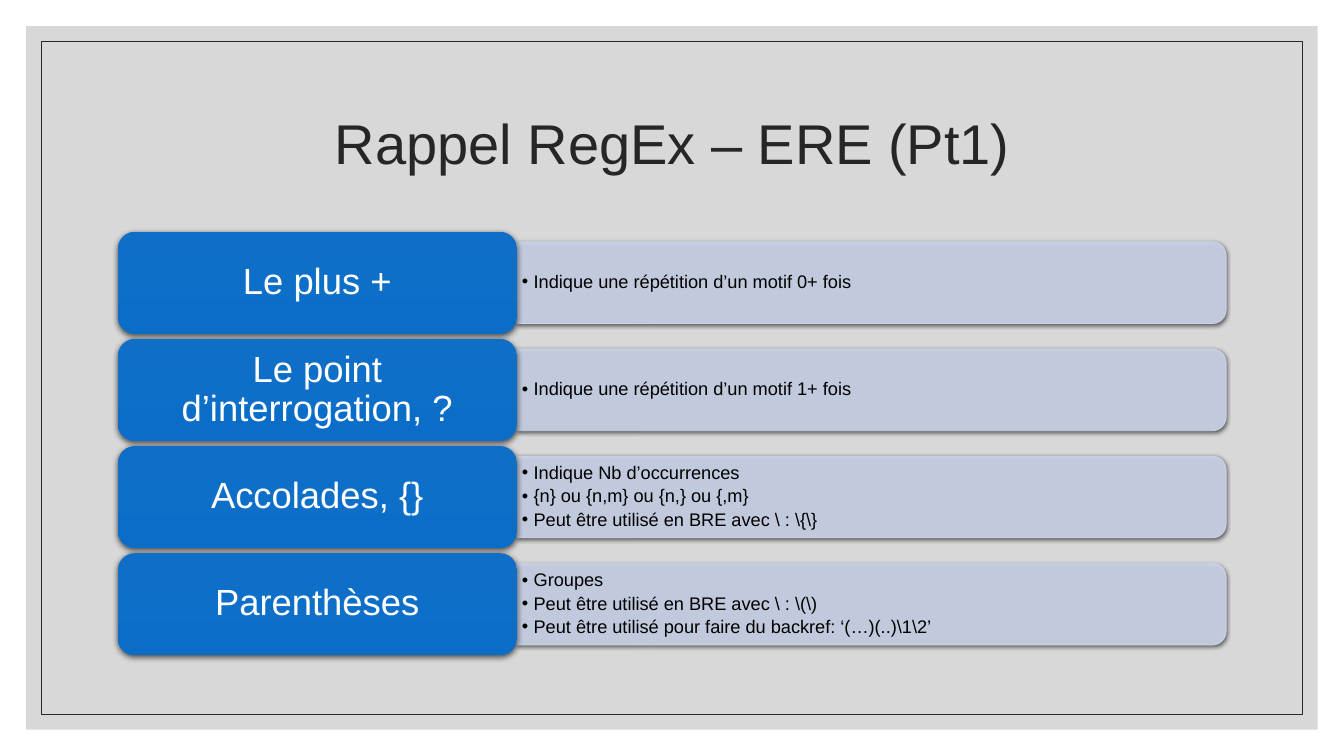
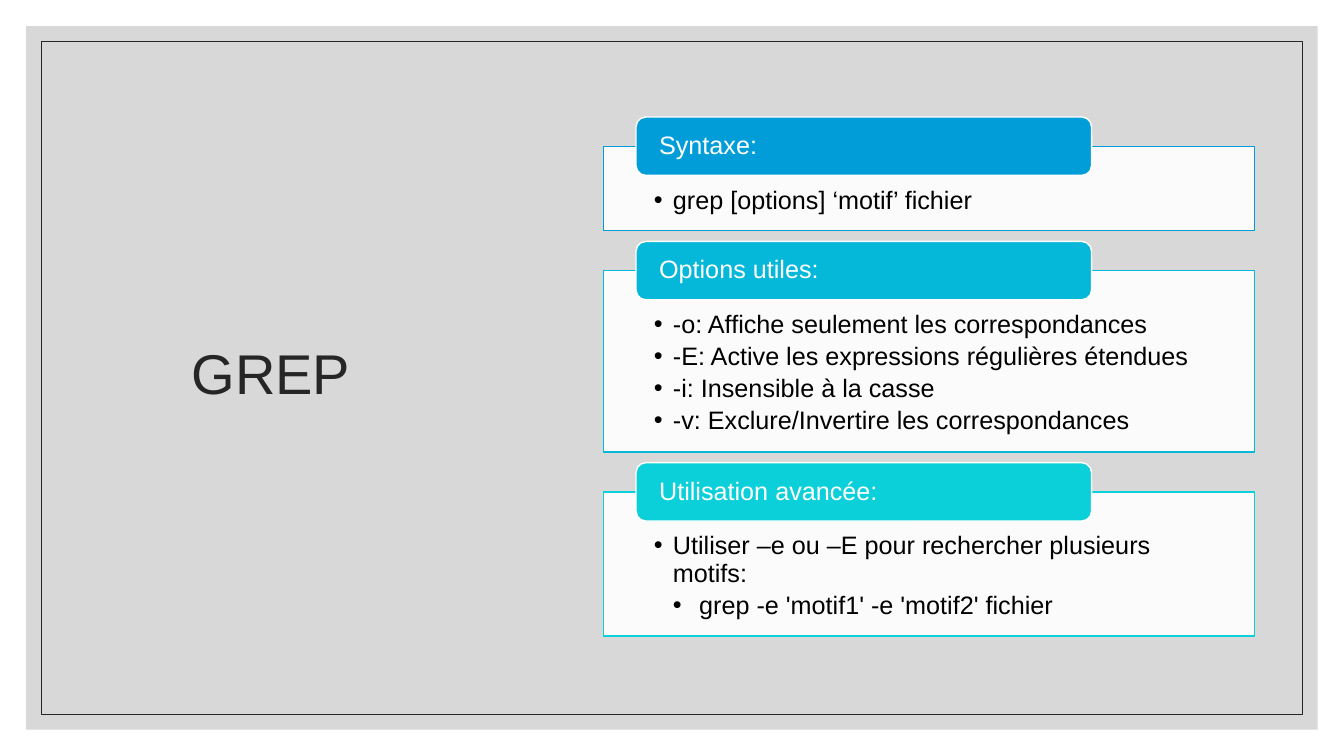
from lxml.etree import SubElement as Sub
from pptx import Presentation
from pptx.dml.color import RGBColor as RGB
from pptx.enum.shapes import MSO_SHAPE as Form
from pptx.enum.text import MSO_ANCHOR as Anchor, PP_ALIGN as Align
from pptx.oxml.ns import qn
from pptx.util import Cm, Pt

WHITE = RGB(0xFF, 0xFF, 0xFF)
BLACK = RGB(0, 0, 0)
INK = RGB(0x26, 0x26, 0x26)
GREY = RGB(0xBF, 0xBF, 0xBF)
PALE = RGB(0xCC, 0xD5, 0xEA)
DEEP = RGB(0x0F, 0x6F, 0xC6)
BRIGHT = RGB(0x0A, 0x6E, 0xC9)
BLUE = RGB(0x00, 0x9D, 0xD9)
CYAN = RGB(0x05, 0xB7, 0xD9)
TEAL = RGB(0x0B, 0xD0, 0xD9)

WIDE, HIGH = 33.87, 19.05

ROWS = [
    ("Le plus +", ["Indique une répétition d’un motif 0+ fois"]),
    ("Le point d’interrogation, ?", ["Indique une répétition d’un motif 1+ fois"]),
    ("Accolades, {}", [
        "Indique Nb d’occurrences",
        "{n} ou {n,m} ou {n,} ou {,m}",
        "Peut être utilisé en BRE avec \\ : \\{\\}"]),
    ("Parenthèses", [
        "Groupes",
        "Peut être utilisé en BRE avec \\ : \\(\\)",
        "Peut être utilisé pour faire du backref: ‘(…)(..)\\1\\2’"]),
]
CARDS = [
    ("Syntaxe:", BLUE, 2.13, ["grep [options] ‘motif’ fichier"], []),
    ("Options utiles:", CYAN, 4.57, [
        "-o: Affiche seulement les correspondances",
        "-E: Active les expressions régulières étendues",
        "-i: Insensible à la casse",
        "-v: Exclure/Invertire les correspondances"], []),
    ("Utilisation avancée:", TEAL, 3.63,
     ["Utiliser –e ou –E pour rechercher plusieurs motifs:"],
     ["grep -e 'motif1' -e 'motif2' fichier"]),
]


class Deck:
    """Hold the shared style and the current slide."""

    def __init__(self):
        self.show = Presentation()
        self.show.slide_width, self.show.slide_height = Cm(WIDE), Cm(HIGH)
        self.base = self.show.slide_layouts[5]
        self.slide = None

    def page(self, title, x, y, w, h):
        first = self.slide is None
        self.slide = self.show.slides.add_slide(self.base)
        if first:
            self.frame()
        head = self.slide.shapes.title
        head.left, head.top, head.width, head.height = Cm(x), Cm(y), Cm(w), Cm(h)
        self.label(head, [title], 40, INK, Align.CENTER)

    def frame(self):
        edges = [(0.66, GREY, None, 60), (1.04, None, INK, None)]
        for spot, (gap, fill, line, alpha) in enumerate(edges, 2):
            part = self.block(Form.RECTANGLE, gap, gap, WIDE - 2 * gap,
                              HIGH - 2 * gap, fill, line, 0.5, alpha)
            self.base.shapes.element.insert(spot, part.element)

    def block(self, form, x, y, w, h, fill=None, line=None, thick=1, alpha=None):
        part = self.slide.shapes.add_shape(form, Cm(x), Cm(y), Cm(w), Cm(h))
        part.shadow.inherit = False
        if fill is None:
            part.fill.background()
        else:
            part.fill.solid()
            part.fill.fore_color.rgb = fill
        if alpha:
            tone = part.element.spPr.find(qn("a:solidFill"))[0]
            Sub(tone, qn("a:alpha"), val=str(alpha * 1000))
        if line is None:
            part.line.fill.background()
        else:
            part.line.color.rgb = line
            part.line.width = Pt(thick)
        return part

    def shade(self, part, blur, dist):
        effects = part.element.spPr.find(qn("a:effectLst"))
        cast = Sub(effects, qn("a:outerShdw"), blurRad=str(Pt(blur)),
                   dist=str(Pt(dist)), dir="5400000", algn="ctr", rotWithShape="0")
        tone = Sub(cast, qn("a:srgbClr"), val=str(BLACK))
        Sub(tone, qn("a:alpha"), val="63000")

    def label(self, part, lines, size, ink, align=Align.LEFT,
              anchor=Anchor.MIDDLE, pads=(0.25, 0.13, 0.25, 0.13)):
        frame = part.text_frame
        frame.text = "\n".join(lines)
        frame.word_wrap = True
        frame.vertical_anchor = anchor
        (frame.margin_left, frame.margin_top,
         frame.margin_right, frame.margin_bottom) = map(Cm, pads)
        for para in frame.paragraphs:
            para.alignment = align
            para.line_spacing = 0.9
            for run in para.runs:
                run.font.name = "Arial"
                run.font.size = Pt(size)
                run.font.color.rgb = ink
        return frame.paragraphs

    def bullet(self, para, left, hang, after):
        props = para._p.get_or_add_pPr()
        props.set("marL", str(Cm(left)))
        props.set("indent", str(-Cm(hang)))
        Sub(props, qn("a:buFont"), typeface="Arial")
        Sub(props, qn("a:buChar"), char="•")
        para.space_after = Pt(after)

    def row(self, y, name, notes):
        tall, thin, long, edge = 2.57, 2.06, 17.88, 13.02
        mid = y + tall / 2
        bar = self.block(Form.ROUND_2_SAME_RECTANGLE, edge + (long - thin) / 2,
                         mid - long / 2, thin, long, PALE, PALE, 0.5, 90)
        bar.rotation = 90
        self.shade(bar, 3, 1)
        box = self.slide.shapes.add_textbox(
            Cm(edge), Cm(mid - thin / 2), Cm(long), Cm(thin))
        for para in self.label(box, notes, 13, BLACK, pads=(0.13, 0.08, 0.13, 0.08)):
            self.bullet(para, 0.3, 0.3, 2.5)
        key = self.block(Form.ROUNDED_RECTANGLE, 2.97, y, 10.06, tall, DEEP)
        key.fill.gradient()
        key.fill.gradient_angle = 270
        for stop, tone in zip(key.fill.gradient_stops, (DEEP, BRIGHT)):
            stop.color.rgb = tone
        self.shade(key, 4.5, 1.5)
        self.label(key, [name], 26, WHITE, Align.CENTER, pads=(0.4, 0.25, 0.4, 0.25))

    def card(self, y, name, tone, tall, notes, subs):
        high = 1.47
        box = self.block(Form.RECTANGLE, 15.21, y + high / 2, 16.41, tall,
                         WHITE, tone, alpha=90)
        paras = self.label(box, notes + subs, 18, BLACK, anchor=Anchor.TOP,
                           pads=(1.27, 1.04, 1.27, 0.36))
        for spot, para in enumerate(paras):
            if spot < len(notes):
                self.bullet(para, 0.48, 0.48, 3.4)
            else:
                para.level = 1
                self.bullet(para, 1.14, 0.66, 3.4)
        tag = self.block(Form.ROUNDED_RECTANGLE, 16.03, y, 11.48, high, tone, WHITE)
        self.label(tag, [name], 18, WHITE, pads=(0.51, 0, 0.51, 0))
        return y + high / 2 + tall


def main():
    deck = Deck()
    deck.page("Rappel RegEx – ERE (Pt1)", 2.97, 1.78, 27.94, 3.81)
    for spot, (name, notes) in enumerate(ROWS):
        deck.row(5.84 + 2.7 * spot, name, notes)

    deck.page("GREP", 1.6, 1.55, 10.46, 15.85)
    y = 2.95
    for card in CARDS:
        y = deck.card(y, *card) + 0.27
    deck.show.save("out.pptx")


if __name__ == "__main__":
    main()
